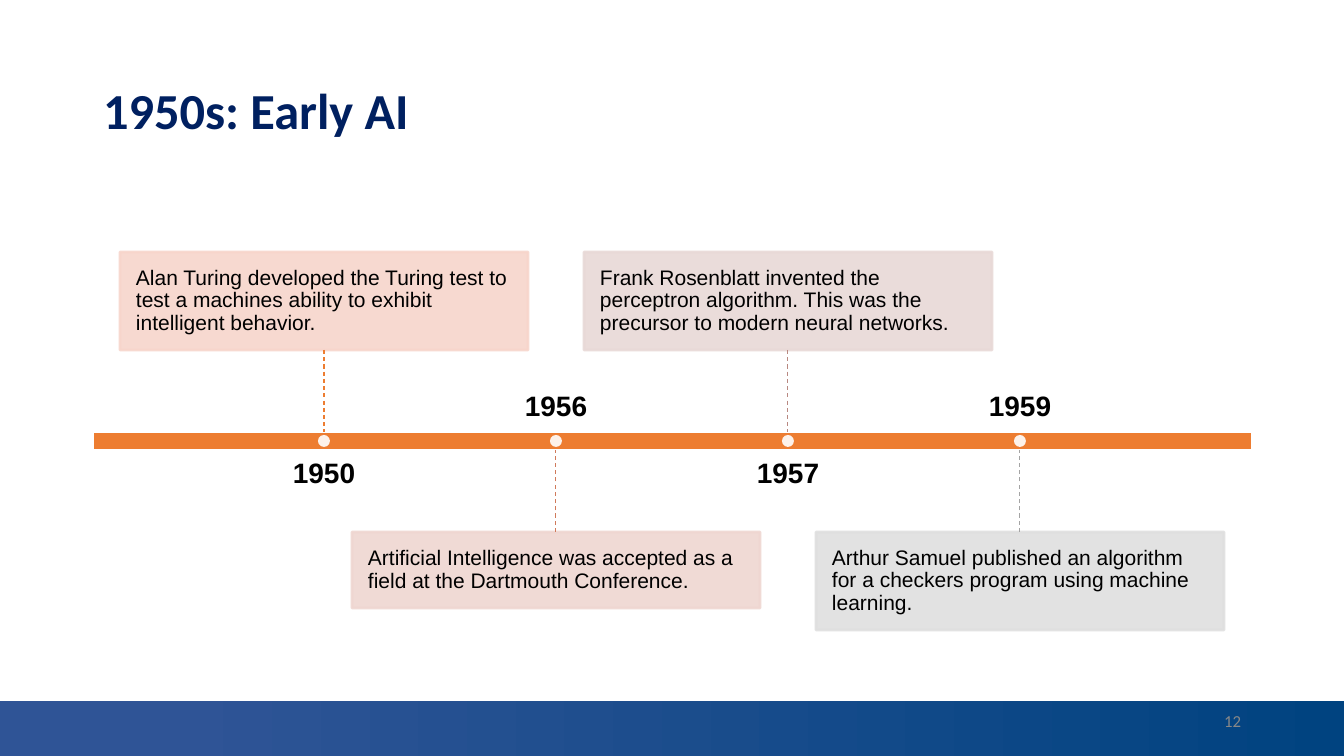
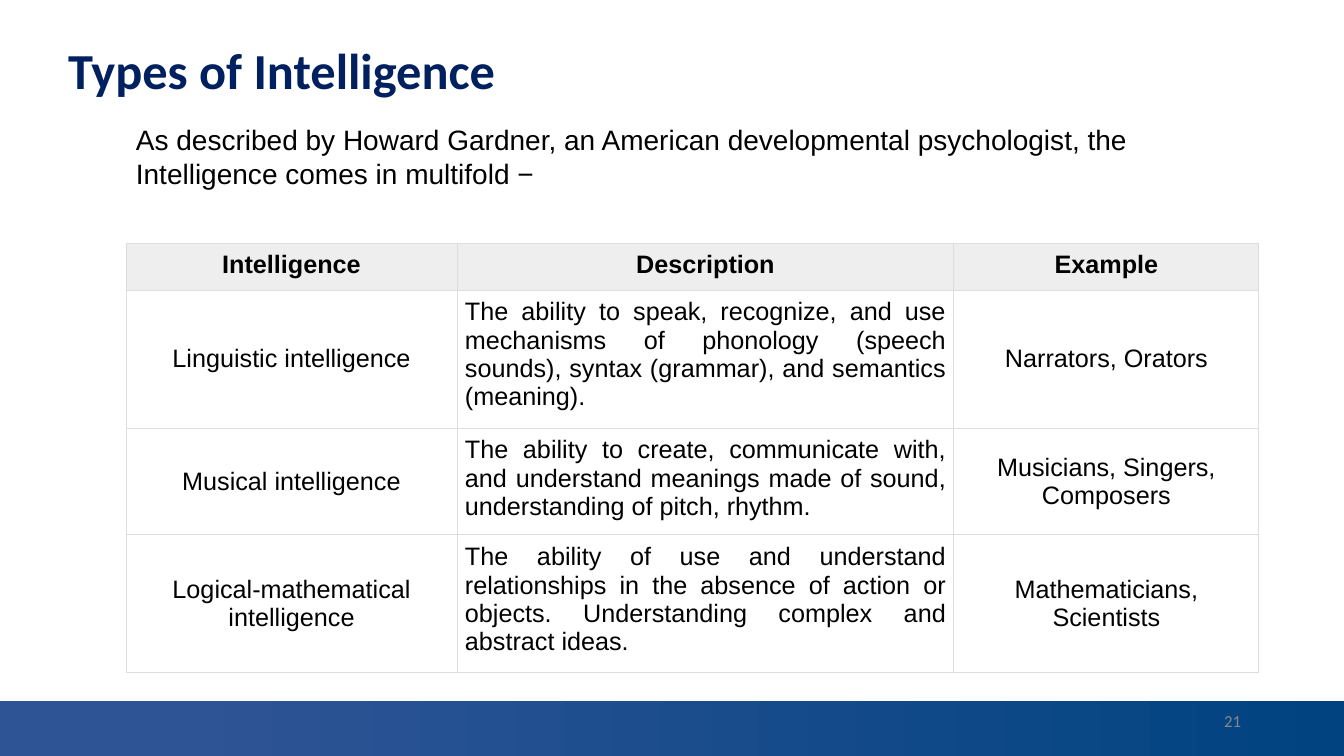
from dataclasses import dataclass

import pptx
import pptx.dml.color
import pptx.enum.dml
import pptx.enum.shapes
import pptx.enum.text
import pptx.oxml
import pptx.oxml.ns
import pptx.util
from pptx.enum.shapes import MSO_SHAPE
from pptx.enum.text import MSO_ANCHOR, PP_ALIGN

EMU_PER_PX = 914400 / 100.8
SLIDE_WIDTH, SLIDE_HEIGHT = 1344, 756
BAND_TOP = 701

NAVY, BLACK, WHITE, GREY = "002060", "000000", "FFFFFF", "888888"
BAND_START, BAND_END = "2F5496", "004380"
ORANGE = "ED7D31"
HEADER_FILL, TABLE_BORDER = "EEEEEE", "DDDDDD"
HEADING_FONT, BODY_FONT = "Calibri", "Arial"

AXIS_Y = 441
BAR_LEFT, BAR_WIDTH, BAR_HEIGHT = 93, 1159, 18
FIRST_EVENT_X, EVENT_STEP = 324, 232
CARD_WIDTH, CARD_INSET = 408, 16
STEM_LENGTH = 82
YEAR_WIDTH, YEAR_HEIGHT, YEAR_GAP = 370, 54, 18
DOT_SIZE = 12


@dataclass(frozen=True)
class Box:
    left: int
    top: int
    width: int
    height: int

    def emu(self) -> tuple:
        return px(self.left), px(self.top), px(self.width), px(self.height)


@dataclass(frozen=True)
class TextStyle:
    size: int
    font: str = BODY_FONT
    colour: str = BLACK
    bold: bool = False
    align: PP_ALIGN = PP_ALIGN.LEFT
    line_spacing: float = 1.0


@dataclass(frozen=True)
class Event:
    year: str
    text: str
    card_height: int
    card_colour: str
    stem_colour: str


TITLE = TextStyle(36, HEADING_FONT, NAVY, bold=True, line_spacing=0.9)
PAGE_NUMBER = TextStyle(12, HEADING_FONT, GREY, align=PP_ALIGN.RIGHT)
YEAR = TextStyle(20, bold=True, align=PP_ALIGN.CENTER, line_spacing=0.9)
CARD = TextStyle(15, line_spacing=0.9)
INTRO = TextStyle(20)
TABLE_HEADER = TextStyle(18, bold=True, align=PP_ALIGN.CENTER)
TABLE_LABEL = TextStyle(18, align=PP_ALIGN.CENTER)
TABLE_DESCRIPTION = TextStyle(18, align=PP_ALIGN.JUSTIFY)

EVENTS = [
    Event("1950", "Alan Turing developed the Turing test to test a machines ability "
          "to exhibit intelligent behavior.", 98, "F7D5CB", ORANGE),
    Event("1956", "Artificial Intelligence was accepted as a field at the Dartmouth "
          "Conference.", 76, "EFD6D1", "D07A5B"),
    Event("1957", "Frank Rosenblatt invented the perceptron algorithm. This was the "
          "precursor to modern neural networks.", 98, "E8D9D7", "B88881"),
    Event("1959", "Arthur Samuel published an algorithm for a checkers program using "
          "machine learning.", 98, "DFDFDF", "A4A4A4"),
]

COLUMN_WIDTHS = [331, 497, 305]
ROW_HEIGHTS = [47, 138, 107, 138]
INTELLIGENCE_ROWS = [
    ("Intelligence", "Description", "Example"),
    ("Linguistic intelligence",
     "The ability to speak, recognize, and use mechanisms of phonology (speech "
     "sounds), syntax (grammar), and semantics (meaning).",
     "Narrators, Orators"),
    ("Musical intelligence",
     "The ability to create, communicate with, and understand meanings made of "
     "sound, understanding of pitch, rhythm.",
     "Musicians, Singers, Composers"),
    ("Logical-mathematical intelligence",
     "The ability of use and understand relationships in the absence of action or "
     "objects. Understanding complex and abstract ideas.",
     "Mathematicians, Scientists"),
]


def px(length: int) -> pptx.util.Emu:
    return pptx.util.Emu(round(length * EMU_PER_PX))


def rgb(colour: str) -> pptx.dml.color.RGBColor:
    return pptx.dml.color.RGBColor.from_string(colour)


def write_text(frame, text: str, style: TextStyle) -> None:
    frame.text = text
    paragraph = frame.paragraphs[0]
    paragraph.alignment = style.align
    paragraph.line_spacing = style.line_spacing
    paragraph.font.name = style.font
    paragraph.font.size = pptx.util.Pt(style.size)
    paragraph.font.bold = style.bold
    paragraph.font.color.rgb = rgb(style.colour)


def set_insets(frame, inset: int) -> None:
    frame.margin_left = frame.margin_right = px(inset)
    frame.margin_top = frame.margin_bottom = px(inset)


def add_text(slide, box: Box, text: str, style: TextStyle,
             anchor: MSO_ANCHOR = MSO_ANCHOR.TOP):
    frame = slide.shapes.add_textbox(*box.emu()).text_frame
    frame.word_wrap = True
    frame.vertical_anchor = anchor
    write_text(frame, text, style)
    return frame


def add_shape(slide, kind: MSO_SHAPE, box: Box, fill: str = "", line: str = ""):
    shape = slide.shapes.add_shape(kind, *box.emu())
    shape.shadow.inherit = False
    if fill:
        shape.fill.solid()
        shape.fill.fore_color.rgb = rgb(fill)
    if line:
        shape.line.color.rgb = rgb(line)
        shape.line.width = pptx.util.Pt(2)
    else:
        shape.line.fill.background()
    return shape


def set_opacity(shape, percent: int) -> None:
    """Apply one opacity to the fill and line colours of a shape."""
    for colour in shape.element.spPr.iter(pptx.oxml.ns.qn("a:srgbClr")):
        alpha = colour.makeelement(pptx.oxml.ns.qn("a:alpha"), {"val": str(percent * 1000)})
        colour.append(alpha)


def add_base_slide(presentation, title: str, title_left: int, title_top: int, number: str):
    """Add a slide with the footer band, its title and its page number."""
    slide = presentation.slides.add_slide(presentation.slide_layouts[5])
    heading = slide.shapes.title
    heading.left, heading.top, heading.width, heading.height = Box(
        title_left, title_top, 1159, 146).emu()
    frame = heading.text_frame
    frame.auto_size = pptx.enum.text.MSO_AUTO_SIZE.NONE
    frame.vertical_anchor = MSO_ANCHOR.MIDDLE
    write_text(frame, title, TITLE)

    band = add_shape(slide, MSO_SHAPE.RECTANGLE,
                     Box(0, BAND_TOP, SLIDE_WIDTH, SLIDE_HEIGHT - BAND_TOP))
    band.fill.gradient()
    band.fill.gradient_angle = 0
    for stop, position, colour in zip(band.fill.gradient_stops, (0.13, 1),
                                      (BAND_START, BAND_END)):
        stop.position = position
        stop.color.rgb = rgb(colour)
    add_text(slide, Box(949, BAND_TOP, 302, 40), number, PAGE_NUMBER, MSO_ANCHOR.MIDDLE)
    return slide


def add_stem(slide, card, card_side: int, x: int, bar_edge: int, colour: str) -> None:
    stem = slide.shapes.add_connector(
        pptx.enum.shapes.MSO_CONNECTOR.STRAIGHT, px(x), px(bar_edge), px(x), px(bar_edge))
    stem.begin_connect(card, card_side)
    stem.line.color.rgb = rgb(colour)
    stem.line.width = pptx.util.Pt(0.75)
    stem.line.dash_style = pptx.enum.dml.MSO_LINE.DASH
    properties = stem.element.spPr
    properties.append(properties.makeelement(pptx.oxml.ns.qn("a:effectLst"), {}))


def add_event(slide, event: Event, x: int, above: bool) -> None:
    """Draw a card on one side of the bar and its year on the other."""
    if above:
        bar_edge = AXIS_Y - BAR_HEIGHT // 2
        card_top = bar_edge - STEM_LENGTH - event.card_height
        year_top, year_anchor = AXIS_Y + YEAR_GAP, MSO_ANCHOR.TOP
    else:
        bar_edge = AXIS_Y + BAR_HEIGHT // 2
        card_top = bar_edge + STEM_LENGTH
        year_top, year_anchor = AXIS_Y - YEAR_GAP - YEAR_HEIGHT, MSO_ANCHOR.BOTTOM

    card = add_shape(slide, MSO_SHAPE.RECTANGLE,
                     Box(x - CARD_WIDTH // 2, card_top, CARD_WIDTH, event.card_height),
                     event.card_colour, event.card_colour)
    set_opacity(card, 90)
    card.text_frame.word_wrap = True
    card.text_frame.vertical_anchor = MSO_ANCHOR.MIDDLE
    set_insets(card.text_frame, CARD_INSET)
    write_text(card.text_frame, event.text, CARD)
    add_stem(slide, card, 2 if above else 0, x, bar_edge, event.stem_colour)

    year_box = Box(x - YEAR_WIDTH // 2, year_top, YEAR_WIDTH, YEAR_HEIGHT)
    set_insets(add_text(slide, year_box, event.year, YEAR, year_anchor), 0)
    radius = DOT_SIZE // 2
    dot = add_shape(slide, MSO_SHAPE.OVAL,
                    Box(x - radius, AXIS_Y - radius, DOT_SIZE, DOT_SIZE), WHITE)
    set_opacity(dot, 90)


def build_timeline(presentation) -> None:
    slide = add_base_slide(presentation, "1950s: Early AI", 93, 40, "12")
    add_shape(slide, MSO_SHAPE.RECTANGLE,
              Box(BAR_LEFT, AXIS_Y - BAR_HEIGHT // 2, BAR_WIDTH, BAR_HEIGHT), ORANGE, WHITE)
    for index, event in enumerate(EVENTS):
        add_event(slide, event, FIRST_EVENT_X + index * EVENT_STEP, index % 2 == 0)


def add_cell_borders(cell) -> None:
    properties = cell._tc.get_or_add_tcPr()
    for side in "LRTB":
        properties.append(pptx.oxml.parse_xml(
            f'<a:ln{side} {pptx.oxml.ns.nsdecls("a")} w="{pptx.util.Pt(0.75)}"><a:solidFill>'
            f'<a:srgbClr val="{TABLE_BORDER}"/></a:solidFill></a:ln{side}>'))


def fill_cell(cell, text: str, row: int, column: int) -> None:
    add_cell_borders(cell)
    set_insets(cell, 8)
    cell.vertical_anchor = MSO_ANCHOR.TOP
    if row == 0:
        style = TABLE_HEADER
        cell.fill.solid()
        cell.fill.fore_color.rgb = rgb(HEADER_FILL)
    else:
        cell.fill.background()
        style = TABLE_DESCRIPTION
        if column != 1:
            style = TABLE_LABEL
            cell.vertical_anchor = MSO_ANCHOR.MIDDLE
    write_text(cell.text_frame, text, style)


def build_intelligence_types(presentation) -> None:
    slide = add_base_slide(presentation, "Types of Intelligence", 58, 0, "21")
    add_text(slide, Box(126, 118, 1075, 102),
             "As described by Howard Gardner, an American developmental psychologist, "
             "the Intelligence comes in multifold −", INTRO)
    box = Box(126, 243, sum(COLUMN_WIDTHS), sum(ROW_HEIGHTS))
    table = slide.shapes.add_table(len(ROW_HEIGHTS), len(COLUMN_WIDTHS), *box.emu()).table
    table.horz_banding = False
    for column, width in zip(table.columns, COLUMN_WIDTHS):
        column.width = px(width)
    for row, height in zip(table.rows, ROW_HEIGHTS):
        row.height = px(height)
    for row_index, texts in enumerate(INTELLIGENCE_ROWS):
        for column_index, text in enumerate(texts):
            fill_cell(table.cell(row_index, column_index), text, row_index, column_index)


def main() -> None:
    presentation = pptx.Presentation()
    presentation.slide_width = px(SLIDE_WIDTH)
    presentation.slide_height = px(SLIDE_HEIGHT)
    build_timeline(presentation)
    build_intelligence_types(presentation)
    presentation.save("out.pptx")


if __name__ == "__main__":
    main()
